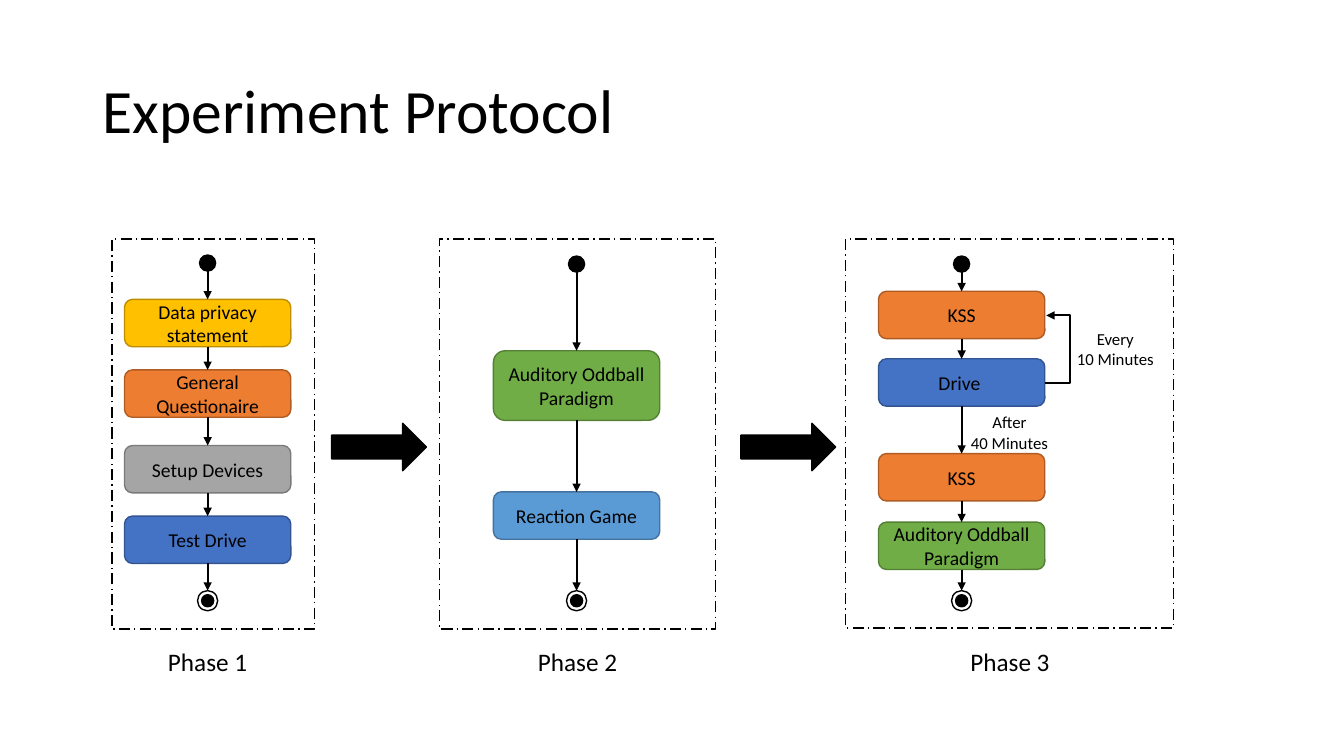
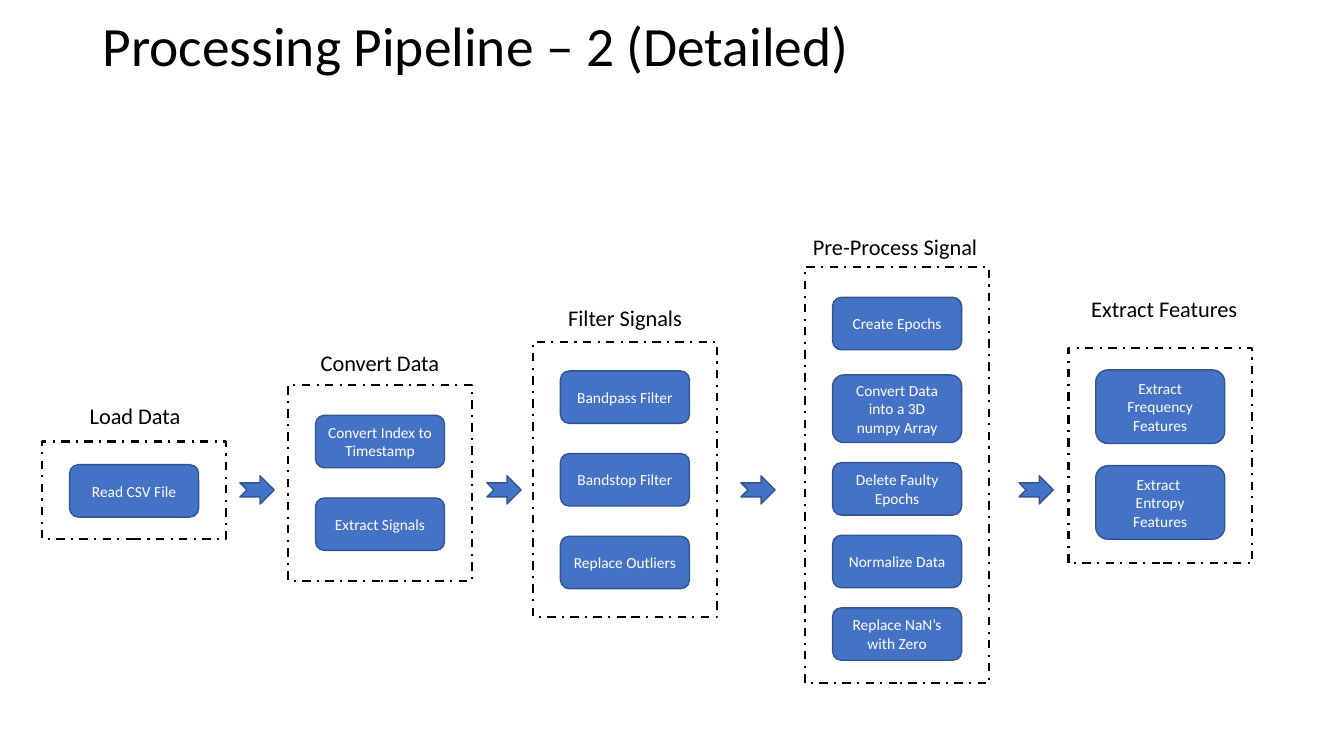
import dataclasses

import lxml.etree
import pptx
import pptx.dml.color
import pptx.enum.dml
import pptx.enum.shapes
import pptx.enum.text
import pptx.oxml.ns
import pptx.util

SHAPES = pptx.enum.shapes.MSO_SHAPE
CONNECTORS = pptx.enum.shapes.MSO_CONNECTOR
DASHES = pptx.enum.dml.MSO_LINE
CELL = pptx.util.Inches(0.1)
COLUMNS, ROWS = 133.33, 75


@dataclasses.dataclass(frozen=True)
class Theme:
    font: str = "Calibri"
    black: str = "000000"
    white: str = "FFFFFF"
    blue: str = "4472C4"
    sky: str = "5B9BD5"
    green: str = "70AD47"
    orange: str = "ED7D31"
    yellow: str = "FFC000"
    gray: str = "A5A5A5"
    title_size: float = 44
    compact_title_size: float = 39.6
    phase_size: float = 18
    stage_size: float = 16
    step_size: float = 14
    note_size: float = 12
    task_size: float = 11
    thin: float = 1
    thick: float = 1.5


THEME = Theme()
OUTLINES = {
    THEME.blue: "325491", THEME.sky: "43739E", THEME.green: "538035",
    THEME.orange: "AF5C24", THEME.yellow: "BD8E00", THEME.gray: "7A7A7A",
    THEME.black: THEME.black,
}

PROTOCOL_TITLE = "Experiment Protocol"
PHASES = [
    {"label": "Phase 1", "label_centre": 20.6, "axis": 20.6,
     "frame": (11.1, 23.7, 20.1, 38.7), "start": 25.3,
     "steps": [("Data privacy statement", 2.8, 4.7, THEME.yellow),
               ("General Questionaire", 2.3, 4.7, THEME.orange),
               ("Setup Devices", 2.8, 4.7, THEME.gray),
               ("Test Drive", 2.3, 4.7, THEME.blue)]},
    {"label": "Phase 2", "label_centre": 57.3, "axis": 57.2,
     "frame": (43.6, 23.7, 27.4, 38.7), "start": 25.4,
     "steps": [("Auditory Oddball Paradigm", 7.8, 6.9, THEME.green),
               ("Reaction Game", 7.1, 4.7, THEME.sky)]},
    {"label": "Phase 3", "label_centre": 100.2, "axis": 95.4,
     "frame": (83.9, 23.7, 32.5, 38.6), "start": 25.4,
     "steps": [("KSS", 1.9, 4.7, THEME.orange),
               ("Drive ", 2, 4.7, THEME.blue),
               ("KSS", 4.7, 4.7, THEME.orange),
               ("Auditory Oddball Paradigm", 2.1, 4.7, THEME.green)]},
]
PHASE_ARROWS = [32.9, 73.5]
NOTES = [("After\n40 Minutes", 95.3, 40.4), ("Every\n10 Minutes", 105.8, 32.1)]
LOOP = {"begin": (103.7, 38), "end": (103.8, 31.3), "bend": 106.2}

PIPELINE_TITLE = "Processing Pipeline – 2 (Detailed)"
STAGES = [
    {"label": "Load Data", "label_top": 39.4, "label_centre": 13.4,
     "left": 4.2, "top": 43.8, "height": 9.7,
     "tasks": [("Read CSV File", 2.3, 5.2)]},
    {"label": "Convert Data", "label_top": 34.1, "label_centre": 37.7,
     "left": 28.6, "top": 38.2, "height": 19.4,
     "tasks": [("Convert Index to Timestamp", 3, 5.2),
               ("Extract Signals", 3, 5.2)]},
    {"label": "Filter Signals", "label_top": 29.7, "label_centre": 62,
     "left": 52.9, "top": 33.9, "height": 27.3,
     "tasks": [("Bandpass Filter", 2.9, 5.2), ("Bandstop Filter", 3, 5.2),
               ("Replace Outliers", 3, 5.2)]},
    {"label": "Pre-Process Signal", "label_top": 22.6, "label_centre": 88.8,
     "left": 79.9, "top": 26.5, "height": 41.3,
     "tasks": [("Create Epochs", 3, 5.2),
               ("Convert Data into a 3D numpy Array", 2.5, 6.7),
               ("Delete Faulty Epochs", 2, 5.2), ("Normalize Data", 2, 5.2),
               ("Replace NaN’s with Zero", 2, 5.2)]},
    {"label": "Extract Features", "label_top": 28.8, "label_centre": 115.5,
     "left": 106, "top": 34.5, "height": 21.4,
     "tasks": [("Extract Frequency Features", 2.2, 7.3),
               ("Extract \nEntropy Features", 2.2, 7.3)]},
]
STAGE_ARROWS = [23.8, 48.3, 73.5, 101.1]


def cells(*values):
    return [pptx.util.Emu(round(value * CELL)) for value in values]


def rgb(color):
    return pptx.dml.color.RGBColor.from_string(color)


def write(shape, text, size, color=THEME.black, centred=True, wrap=True):
    frame = shape.text_frame
    frame.word_wrap = wrap
    paragraph = frame.paragraphs[0]
    alignment = pptx.enum.text.PP_ALIGN
    paragraph.alignment = alignment.CENTER if centred else alignment.LEFT
    for index, line in enumerate(text.split("\n")):
        if index:
            paragraph.add_line_break()
        run = paragraph.add_run()
        run.text = line
        run.font.name = THEME.font
        run.font.size = pptx.util.Pt(size)
        run.font.color.rgb = rgb(color)
    return paragraph


def add_text(slide, text, box, size, **options):
    shape = slide.shapes.add_textbox(*cells(*box))
    return shape, write(shape, text, size, **options)


def add_title(slide, text, top, height, size):
    shape, paragraph = add_text(slide, text, (9.2, top, 115, height), size, centred=False)
    shape.text_frame.vertical_anchor = pptx.enum.text.MSO_ANCHOR.MIDDLE
    paragraph.line_spacing = 0.9


def add_shape(slide, kind, box, fill=None, width=THEME.thin, dash=None):
    shape = slide.shapes.add_shape(kind, *cells(*box))
    shape.shadow.inherit = False
    if fill:
        shape.fill.solid()
        shape.fill.fore_color.rgb = rgb(fill)
    else:
        shape.fill.background()
    shape.line.color.rgb = rgb(OUTLINES[fill or THEME.black])
    shape.line.width = pptx.util.Pt(width)
    if dash:
        shape.line.dash_style = dash
    return shape


def add_node(slide, text, box, fill, size, color):
    shape = add_shape(slide, SHAPES.ROUNDED_RECTANGLE, box, fill)
    shape.text_frame.vertical_anchor = pptx.enum.text.MSO_ANCHOR.MIDDLE
    write(shape, text, size, color)


def add_circle(slide, centre, top, size, fill=None):
    add_shape(slide, SHAPES.OVAL, (centre - size / 2, top, size, size), fill)


def add_arrow(slide, begin, end, kind=CONNECTORS.STRAIGHT):
    connector = slide.shapes.add_connector(kind, *cells(*begin, *end))
    connector.line.color.rgb = rgb(THEME.black)
    connector.line.width = pptx.util.Pt(THEME.thick)
    qualified = pptx.oxml.ns.qn
    line = connector.line._get_or_add_ln()
    lxml.etree.SubElement(line, qualified("a:tailEnd"), type="triangle")
    properties = connector._element.spPr
    lxml.etree.SubElement(properties, qualified("a:effectLst"))
    return connector


def add_loop(slide, begin, end, bend):
    connector = add_arrow(slide, begin, end, CONNECTORS.ELBOW)
    share = round((bend - begin[0]) / (end[0] - begin[0]) * 100000)
    qualified = pptx.oxml.ns.qn
    geometry = connector._element.spPr.find(qualified("a:prstGeom"))
    adjustments = geometry.find(qualified("a:avLst"))
    lxml.etree.SubElement(adjustments, qualified("a:gd"), name="adj1", fmla=f"val {share}")


def stack(top, items):
    for text, gap, height, *rest in items:
        top += gap
        yield text, top, height, *rest
        top += height


def add_phase(slide, phase):
    axis, start = phase["axis"], phase["start"]
    dot, ring, core, ring_top, node_width = 1.6, 2, 1.2, 58.6, 16.5
    add_shape(slide, SHAPES.RECTANGLE, phase["frame"], dash=DASHES.LONG_DASH_DOT)
    add_circle(slide, axis, start, dot, THEME.black)
    add_circle(slide, axis, ring_top, ring)
    add_circle(slide, axis, ring_top + (ring - core) / 2, core, THEME.black)
    bottom = start + dot
    for text, top, height, fill in stack(bottom, phase["steps"]):
        box = (axis - node_width / 2, top, node_width, height)
        add_node(slide, text, box, fill, THEME.step_size, THEME.black)
        add_arrow(slide, (axis, bottom), (axis, top))
        bottom = top + height
    add_arrow(slide, (axis, bottom), (axis, ring_top))
    label_box = (phase["label_centre"] - 5, 63.6, 10, 4)
    add_text(slide, phase["label"], label_box, THEME.phase_size, wrap=False)


def add_stage(slide, stage):
    frame_width, node_width, label_width = 18.2, 12.8, 18.5
    left, top = stage["left"], stage["top"]
    add_shape(slide, SHAPES.RECTANGLE, (left, top, frame_width, stage["height"]),
              width=THEME.thick, dash=DASHES.DASH_DOT)
    node_left = left + (frame_width - node_width) / 2
    for text, node_top, height in stack(top, stage["tasks"]):
        add_node(slide, text, (node_left, node_top, node_width, height),
                 THEME.blue, THEME.task_size, THEME.white)
    label_box = (stage["label_centre"] - label_width / 2, stage["label_top"], label_width, 3.7)
    add_text(slide, stage["label"], label_box, THEME.stage_size, wrap=False)


def build_protocol(slide):
    add_title(slide, PROTOCOL_TITLE, 4, 14.5, THEME.title_size)
    for phase in PHASES:
        add_phase(slide, phase)
    for left in PHASE_ARROWS:
        add_shape(slide, SHAPES.RIGHT_ARROW, (left, 42, 9.4, 4.7), THEME.black)
    for text, left, top in NOTES:
        add_text(slide, text, (left, top, 9.7, 5), THEME.note_size, wrap=False)
    add_loop(slide, **LOOP)


def build_pipeline(slide):
    add_title(slide, PIPELINE_TITLE, 2.1, 5.5, THEME.compact_title_size)
    for stage in STAGES:
        add_stage(slide, stage)
    for left in STAGE_ARROWS:
        add_shape(slide, SHAPES.NOTCHED_RIGHT_ARROW, (left, 47.2, 3.4, 2.8), THEME.blue)


def main():
    presentation = pptx.Presentation()
    presentation.slide_width, presentation.slide_height = cells(COLUMNS, ROWS)
    blank = presentation.slide_layouts[6]
    for build in (build_protocol, build_pipeline):
        build(presentation.slides.add_slide(blank))
    presentation.save("out.pptx")


if __name__ == "__main__":
    main()
